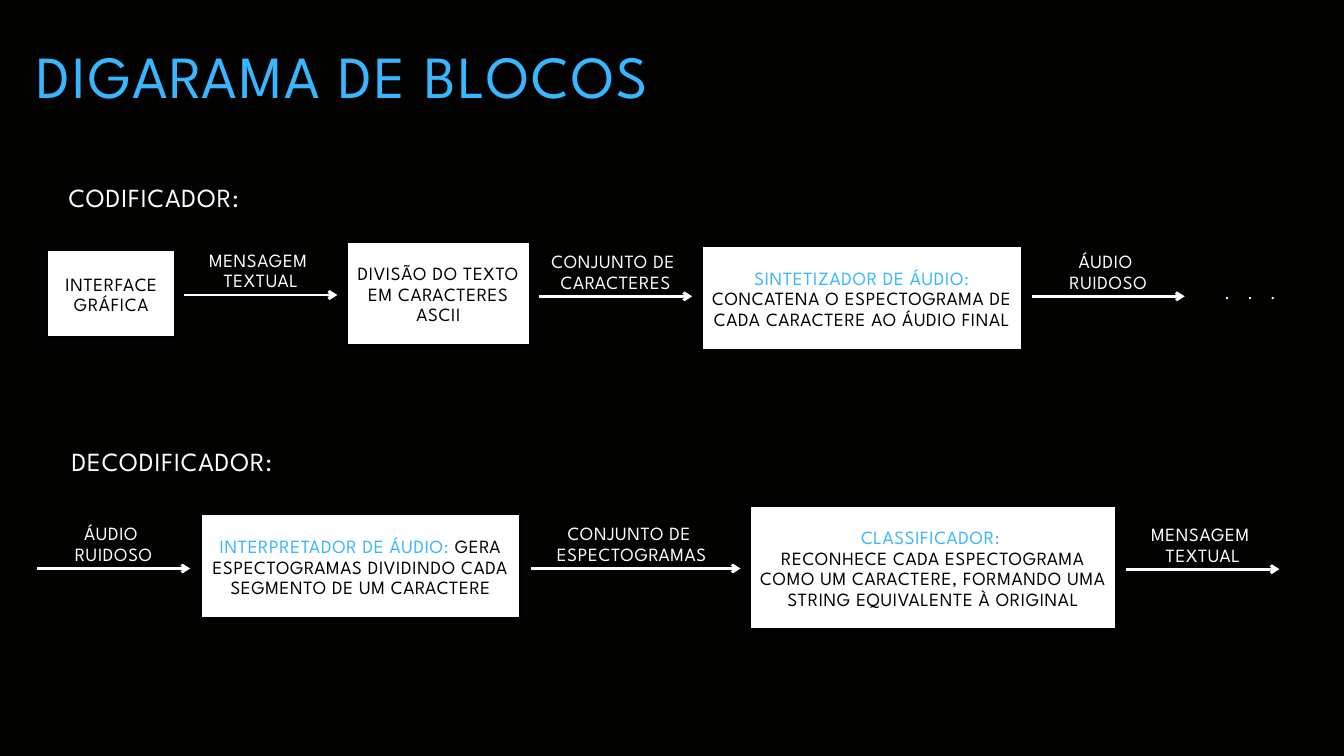
from lxml import etree
from pptx import Presentation
from pptx import util as u
from pptx.dml import color
from pptx.enum import shapes, text
from pptx.oxml import ns

BLUE, WHITE, BLACK, NIGHT = "38B6FF", "FFFFFF", "000000", "020301"
SMALL = {"size": 20, "lead": 22, "space": 0.7}
HEAD = {"size": 28, "lead": 30.8, "space": 1}
TITLE = {"size": 64, "lead": 70.4, "space": 2.2}
DOTS = {**SMALL, "space": 6.7}


def paint(hue):
    """Turn a hex string into a colour."""
    return color.RGBColor.from_string(hue)


class Deck:
    """Hold the style and the current slide."""

    font = "League Spartan"
    stroke = u.Pt(3)

    def __init__(self, wide, high):
        """Start a dark slide of the given size in inches."""
        self.prs = Presentation()
        self.prs.slide_width, self.prs.slide_height = u.Inches(wide), u.Inches(high)
        self.slide = self.prs.slides.add_slide(self.prs.slide_layouts[5])
        fill = self.slide.background.fill
        fill.solid()
        fill.fore_color.rgb = paint(NIGHT)

    def letter(self, frame, paras, style, align, anchor=text.MSO_ANCHOR.TOP, pads=(0, 0, 0, 0)):
        """Fill a frame with paragraphs, each a list of (words, hue) runs."""
        left, top, right, base = map(u.Inches, pads)
        form = {"word_wrap": True, "auto_size": text.MSO_AUTO_SIZE.NONE, "vertical_anchor": anchor,
                "margin_left": left, "margin_top": top, "margin_right": right, "margin_bottom": base}
        for key, val in form.items():
            setattr(frame, key, val)
        for i, runs in enumerate(paras):
            para = frame.add_paragraph() if i else frame.paragraphs[0]
            form = {"alignment": align, "line_spacing": u.Pt(style["lead"]),
                    "space_before": u.Pt(0), "space_after": u.Pt(0)}
            for key, val in form.items():
                setattr(para, key, val)
            for words, hue in runs:
                run = para.add_run()
                run.text = words
                for key, val in {"name": self.font, "size": u.Pt(style["size"])}.items():
                    setattr(run.font, key, val)
                run.font.color.rgb = paint(hue)
                run._r.get_or_add_rPr().set("spc", str(round(style["space"] * 100)))

    def title(self, words, *spot):
        """Move and fill the title placeholder."""
        shape = self.slide.shapes.title
        for key, val in zip(("left", "top", "width", "height"), spot):
            setattr(shape, key, u.Inches(val))
        self.letter(shape.text_frame, [[(words, BLUE)]], TITLE, text.PP_ALIGN.LEFT)

    def label(self, lines, *spot, style=SMALL):
        """Add centred white lines of text."""
        box = self.slide.shapes.add_textbox(*map(u.Inches, spot))
        self.letter(box.text_frame, [[(line, WHITE)] for line in lines], style, text.PP_ALIGN.CENTER)

    def block(self, paras, *spot):
        """Add a white block with centred text."""
        box = self.slide.shapes.add_shape(shapes.MSO_SHAPE.RECTANGLE, *map(u.Inches, spot))
        box.shadow.inherit = False
        box.fill.solid()
        box.fill.fore_color.rgb = paint(WHITE)
        box.line.color.rgb = paint(BLACK)
        box.line.width = self.stroke
        self.letter(box.text_frame, paras, SMALL, text.PP_ALIGN.CENTER,
                    text.MSO_ANCHOR.MIDDLE, (0.06, 0.1, 0.06, 0.06))

    def flow(self, lines, start, end, y, wide, shift=0):
        """Add an arrow with its label centred above."""
        ends = map(u.Inches, (start, y, end, y))
        link = self.slide.shapes.add_connector(shapes.MSO_CONNECTOR.STRAIGHT, *ends)
        link.line.color.rgb = paint(WHITE)
        link.line.width = self.stroke
        tip = etree.SubElement(link.line._get_or_add_ln(), ns.qn("a:tailEnd"))
        tip.set("type", "arrow")
        etree.SubElement(link._element.spPr, ns.qn("a:effectLst"))
        self.label(lines, (start + end - wide) / 2 + shift, y - 0.66, wide, 0.62)


def main():
    """Build and save the slide."""
    deck = Deck(20, 11.25)
    deck.title("DIGARAMA DE BLOCOS", 0.55, 0.66, 11.71, 1)
    message = ["MENSAGEM ", "TEXTUAL"]
    noise = ["ÁUDIO ", "RUIDOSO"]

    deck.label(["CODIFICADOR:"], 0.7, 2.74, 3.18, 0.43, style=HEAD)
    deck.block([[("INTERFACE", BLACK)], [("GRÁFICA", BLACK)]], 0.7, 3.72, 1.91, 1.3)
    deck.flow(message, 2.74, 5.02, 4.39, 1.88)
    deck.block([[("DIVISÃO DO TEXTO EM CARACTERES ASCII", BLACK)]], 5.16, 3.59, 2.73, 1.55)
    deck.flow(["CONJUNTO DE ", "CARACTERES"], 8.02, 10.3, 4.41, 2.29)
    deck.block([[("SINTETIZADOR DE ÁUDIO:", BLUE)],
                [("CONCATENA O ESPECTOGRAMA DE CADA CARACTERE AO ÁUDIO FINAL", BLACK)]],
               10.44, 3.66, 4.77, 1.55)
    deck.flow(noise, 15.35, 17.63, 4.41, 1.44)
    deck.label([". . ."], 18.19, 4.2, 0.83, 0.32, style=DOTS)

    deck.label(["DECODIFICADOR:"], 0.7, 6.67, 3.72, 0.43, style=HEAD)
    deck.flow(noise, 0.55, 2.83, 8.46, 1.44)
    deck.block([[("INTERPRETADOR DE ÁUDIO: ", BLUE),
                 ("GERA ESPECTOGRAMAS DIVIDINDO CADA SEGMENTO DE UM CARACTERE", BLACK)]],
               2.98, 7.65, 4.77, 1.55)
    deck.flow(["CONJUNTO DE ", "ESPECTOGRAMAS"], 7.9, 11.02, 8.46, 2.75, -0.06)
    deck.block([[("CLASSIFICADOR: ", BLUE)],
                [("RECONHECE CADA ESPECTOGRAMA COMO UM CARACTERE, "
                  "FORMANDO UMA STRING EQUIVALENTE À ORIGINAL", BLACK)]],
               11.16, 7.52, 5.45, 1.85)
    deck.flow(message, 16.76, 19.04, 8.47, 1.88)
    deck.prs.save("out.pptx")


if __name__ == "__main__":
    main()
